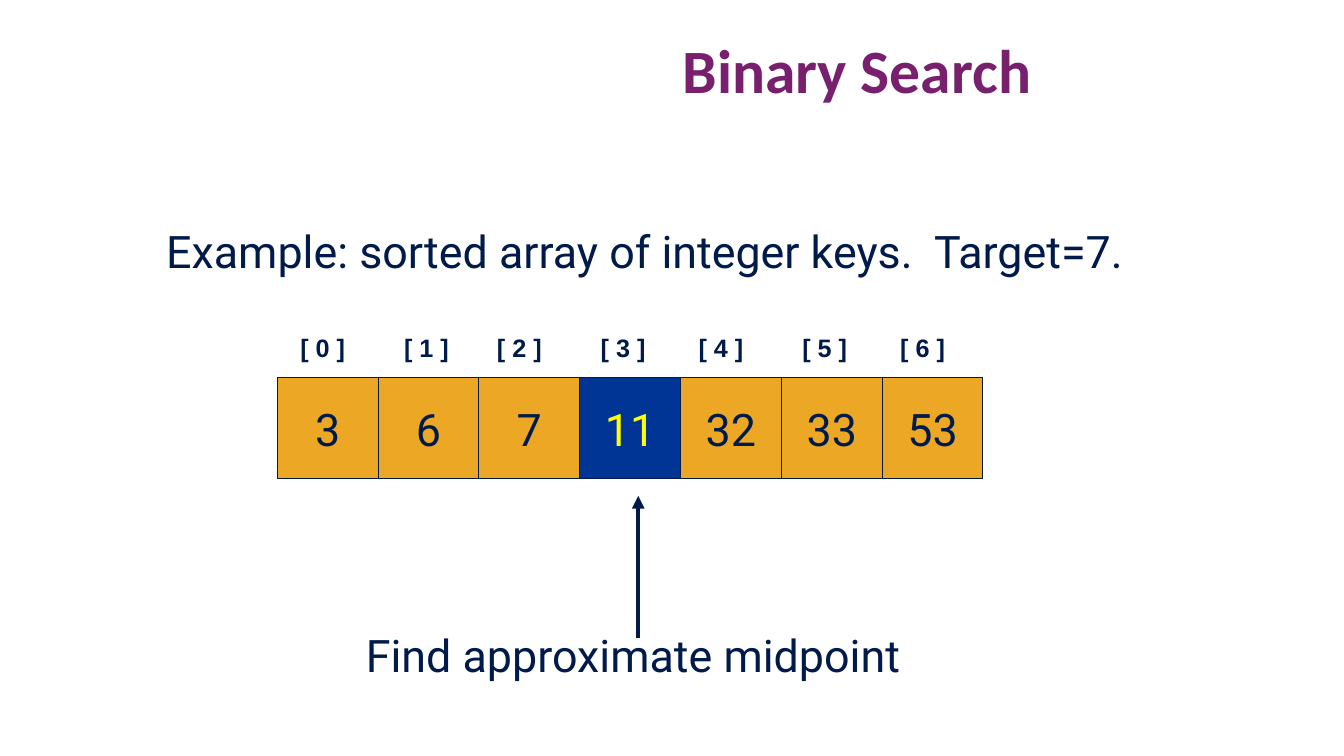
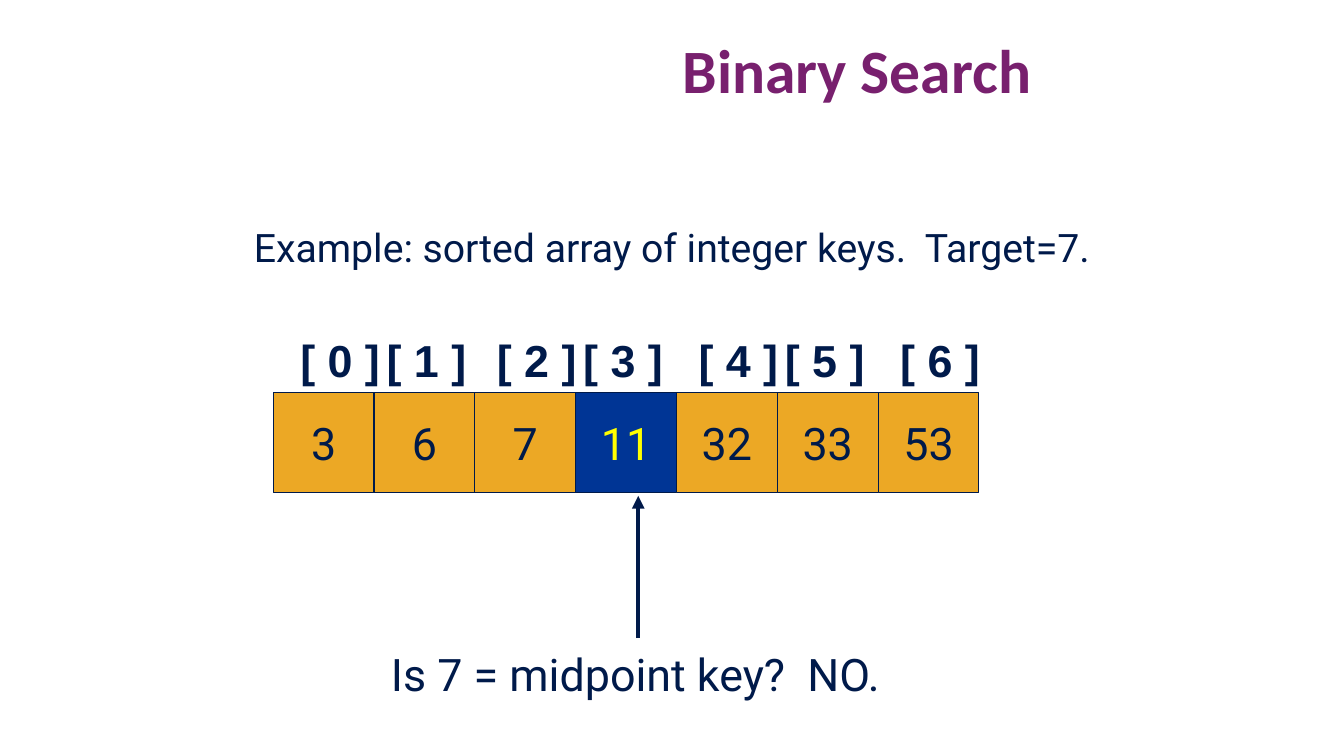
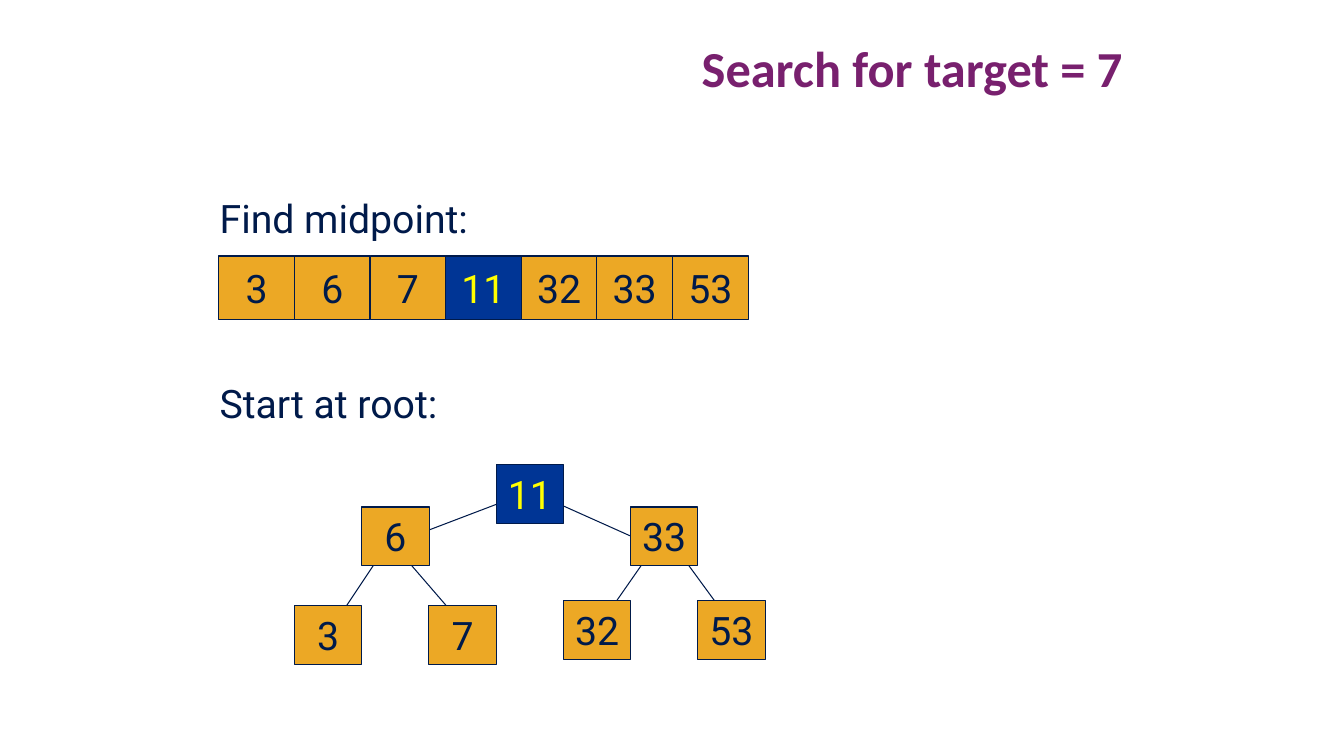
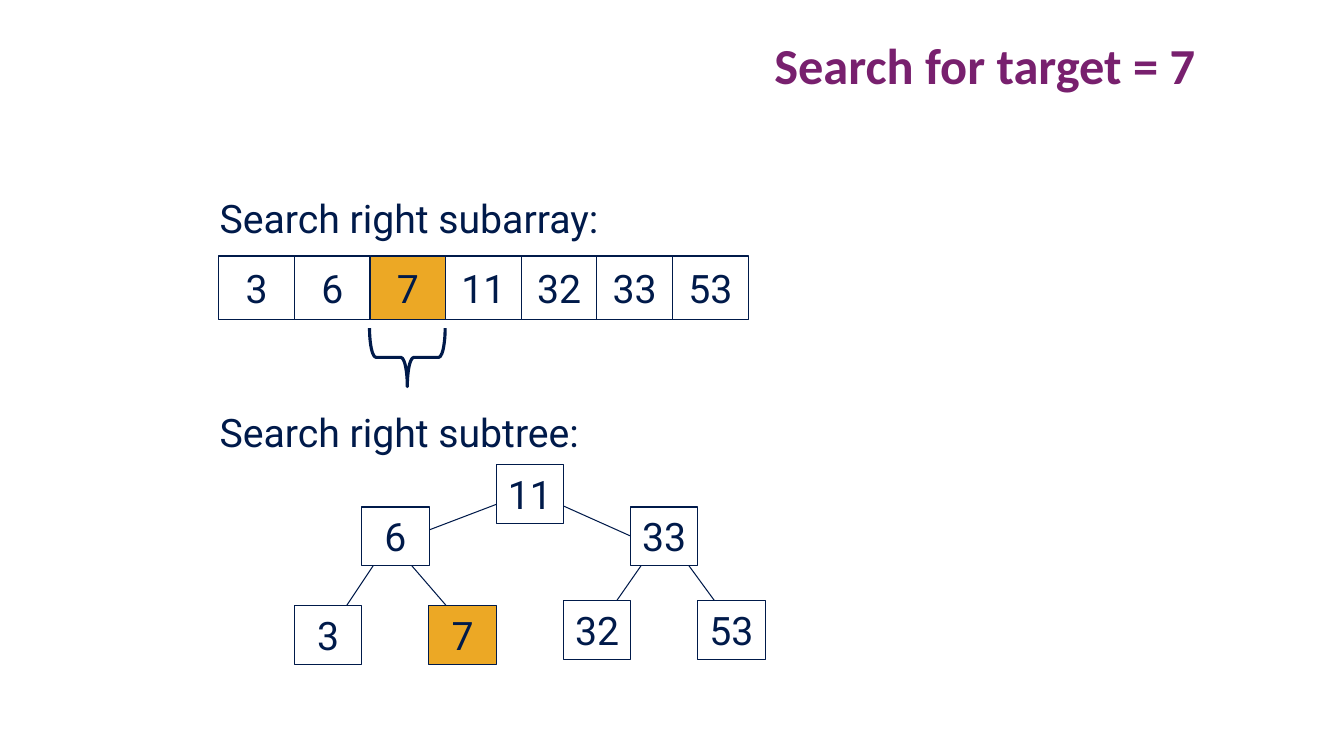
"""Build four slides that walk through a binary search in an array and a tree."""
from lxml import etree
from pptx import Presentation
from pptx.dml.color import RGBColor
from pptx.enum.shapes import MSO_CONNECTOR, MSO_SHAPE
from pptx.enum.text import MSO_ANCHOR, MSO_AUTO_SIZE, PP_ALIGN
from pptx.oxml.ns import qn
from pptx.util import Pt

PX = 9144
LEFT, CENTER = PP_ALIGN.LEFT, PP_ALIGN.CENTER
TOP, MIDDLE, BOTTOM = MSO_ANCHOR.TOP, MSO_ANCHOR.MIDDLE, MSO_ANCHOR.BOTTOM
RECTANGLE, BRACE = MSO_SHAPE.RECTANGLE, MSO_SHAPE.LEFT_BRACE
STRAIGHT = MSO_CONNECTOR.STRAIGHT
NO_AUTOFIT = MSO_AUTO_SIZE.NONE
TITLE_ONLY = 5

COLORS = {
    "ink": "001A4A", "title": "78206E", "gold": "ECA825",
    "blue": "003595", "yellow": "FFFF00", "white": "FFFFFF",
}
FORMATS = {
    "title": {"name": "Calibri", "bold": True},
    "body": {"name": "Roboto", "bold": False},
    "index": {"name": "Arial", "bold": True},
}

KEYS = [3, 6, 7, 11, 32, 33, 53]
INDEX_ANCHORS = [288, 423, 483, 618, 683, 818, 883]
INDEX_TOP = 325
ARROW = (633, 633, 633, 492)

NODE_TOPS = [601, 503, 601, 461, 596, 503, 596]
NODE_LEFT, NODE_WIDTH, NODE_HEIGHT = 292, 67, 58
NODE_STEP = 200 / 3
EDGES = [
    (509, 494, 404, 534), (541, 494, 646, 541), (379, 548, 335, 614),
    (397, 548, 460, 621), (659, 528, 590, 627), (659, 528, 727, 621),
]
BRACE_BOX = (375, 317, 58, 75)

MIDPOINT = {"plain": "gold", "key": 11, "fill": "blue", "color": "yellow"}
FOUND = {"plain": "white", "key": 7, "fill": "gold", "color": "ink"}

EXAMPLE = "Example: sorted array of integer keys.  Target=7."
PAGES = [
    {
        "title": ("Binary Search", (667, 32, 666, 79), 44),
        "texts": [(EXAMPLE, (155, 217, 1071, 64), 32),
                  ("Find approximate midpoint", (353, 618, 556, 64), 32)],
        "array": (275, 375, 100, 100, 32), "marking": MIDPOINT,
        "index": (65, 40, 18),
    },
    {
        "title": ("Binary Search", (667, 32, 666, 79), 44),
        "texts": [(EXAMPLE, (242, 217, 859, 57), 28),
                  ("Is 7 = midpoint key?  NO.", (378, 637, 514, 64), 32)],
        "array": (271, 389, 100, 100, 32), "marking": MIDPOINT,
        "index": (100, 64, 32),
    },
    {
        "title": ("Search for target = 7", (686, 32, 445, 71), 36),
        "texts": [("Find midpoint:", (208, 188, 692, 57), 28),
                  ("Start at root:", (208, 371, 239, 57), 28)],
        "array": (217, 254, 75, 63, 28), "marking": MIDPOINT,
        "tree": 28,
    },
    {
        "title": ("Search for target = 7", (758, 25, 467, 75), 36),
        "texts": [("Search right subarray:", (208, 188, 692, 57), 28),
                  ("Search right subtree:", (208, 400, 381, 57), 28)],
        "array": (217, 254, 75, 63, 28), "marking": FOUND,
        "tree": 28, "brace": BRACE_BOX,
    },
]


def emu(lengths):
    return [round(length * PX) for length in lengths]


def rgb(name):
    return RGBColor.from_string(COLORS[name])


def write(shape, text, kind, size, color="ink", align=LEFT, anchor=TOP, wrap=True):
    frame = shape.text_frame
    settings = {"auto_size": NO_AUTOFIT, "word_wrap": wrap, "vertical_anchor": anchor}
    for name, value in settings.items():
        setattr(frame, name, value)
    para = frame.paragraphs[0]
    para.alignment = align
    span = para.add_run()
    span.text = text
    for name, value in {**FORMATS[kind], "size": Pt(size)}.items():
        setattr(span.font, name, value)
    span.font.color.rgb = rgb(color)
    return para


def add_title(page, text, box, size):
    title = page.shapes.title
    for name, value in zip(("left", "top", "width", "height"), emu(box)):
        setattr(title, name, value)
    para = write(title, text, "title", size, "title", anchor=BOTTOM)
    para.line_spacing = 0.9


def add_text(page, text, box, size, kind="body", **layout):
    write(page.shapes.add_textbox(*emu(box)), text, kind, size, **layout)


def add_outline(page, preset, box, width):
    shape = page.shapes.add_shape(preset, *emu(box))
    shape.shadow.inherit = False
    shape.line.color.rgb = rgb("ink")
    shape.line.width = Pt(width)
    return shape


def add_key(page, key, box, size, marking):
    marked = key == marking["key"]
    cell = add_outline(page, RECTANGLE, box, 0.75)
    cell.fill.solid()
    cell.fill.fore_color.rgb = rgb(marking["fill" if marked else "plain"])
    color = marking["color"] if marked else "ink"
    write(cell, str(key), "body", size, color, CENTER, MIDDLE, wrap=False)


def add_line(page, ends, width, arrow=False):
    line = page.shapes.add_connector(STRAIGHT, *emu(ends))
    line.line.color.rgb = rgb("ink")
    line.line.width = Pt(width)
    if arrow:
        outline = line.line._get_or_add_ln()
        etree.SubElement(outline, qn("a:tailEnd"), type="triangle")
    etree.SubElement(line._element.spPr, qn("a:effectLst"))


def add_array(page, left, top, width, height, size, marking):
    for position, key in enumerate(KEYS):
        box = (left + position * width, top, width, height)
        add_key(page, key, box, size, marking)


def add_indexes(page, width, height, size):
    for position, anchor in enumerate(INDEX_ANCHORS):
        odd = position % 2
        box = (anchor - odd * width / 2, INDEX_TOP, width, height)
        add_text(page, f"[ {position} ]", box, size, "index",
                 align=CENTER if odd else LEFT, wrap=False)


def add_tree(page, size, marking):
    for ends in EDGES:
        add_line(page, ends, 0.75)
    for position, (key, top) in enumerate(zip(KEYS, NODE_TOPS)):
        box = (NODE_LEFT + position * NODE_STEP, top, NODE_WIDTH, NODE_HEIGHT)
        add_key(page, key, box, size, marking)


def add_brace(page, box):
    brace = add_outline(page, BRACE, box, 2.25)
    brace.fill.background()
    brace.rotation = 270
    brace.adjustments[0] = 0.11


def add_page(deck, content):
    page = deck.slides.add_slide(deck.slide_layouts[TITLE_ONLY])
    add_title(page, *content["title"])
    for text in content["texts"]:
        add_text(page, *text)
    add_array(page, *content["array"], content["marking"])
    if "index" in content:
        add_indexes(page, *content["index"])
        add_line(page, ARROW, 3, arrow=True)
    if "tree" in content:
        add_tree(page, content["tree"], content["marking"])
    if "brace" in content:
        add_brace(page, content["brace"])


def main():
    deck = Presentation()
    deck.slide_width, deck.slide_height = emu((1333, 750))
    for content in PAGES:
        add_page(deck, content)
    deck.save("out.pptx")


if __name__ == "__main__":
    main()
